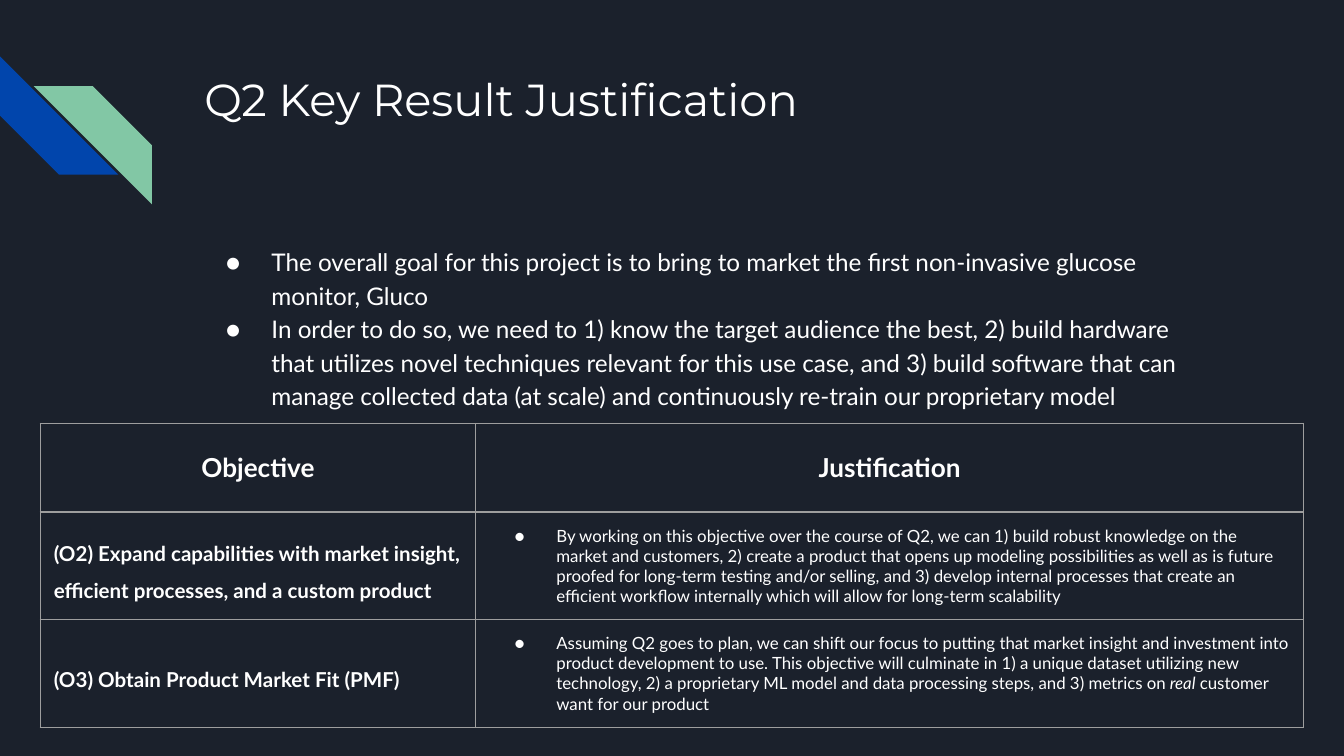
from lxml import etree
from pptx import Presentation
from pptx.dml.color import RGBColor
from pptx.enum import shapes, text
from pptx.oxml import ns
from pptx.util import Inches, Pt

THEME = {
    "background": "1B212C", "ink": "FFFFFF", "blue": "0145AC",
    "green": "82C7A5", "border": "9E9E9E", "border_width": 0.75,
    "title_font": "Montserrat", "body_font": "Lato",
    "title": 24, "body": 13, "header": 14, "objective": 11, "justification": 9,
}

TITLE = "Q2 Key Result Justification"
GOALS = [
    "The overall goal for this project is to bring to market the first "
    "non-invasive glucose monitor, Gluco",
    "In order to do so, we need to 1) know the target audience the best, "
    "2) build hardware that utilizes novel techniques relevant for this use "
    "case, and 3) build software that can manage collected data (at scale) "
    "and continuously re-train our proprietary model",
]
HEADERS = ["Objective", "Justification"]
# Each justification is a list of (text, italic) runs.
OBJECTIVES = [
    ("(O2) Expand capabilities with market insight, efficient processes, "
     "and a custom product",
     [("By working on this objective over the course of Q2, we can 1) build "
       "robust knowledge on the market and customers, 2) create a product that "
       "opens up modeling possibilities as well as is future proofed for "
       "long-term testing and/or selling, and 3) develop internal processes "
       "that create an efficient workflow internally which will allow for "
       "long-term scalability", False)]),
    ("(O3) Obtain Product Market Fit (PMF)",
     [("Assuming Q2 goes to plan, we can shift our focus to putting that market "
       "insight and investment into product development to use. This objective "
       "will culminate in 1) a unique dataset utilizing new technology, 2) a "
       "proprietary ML model and data processing steps, and 3) metrics on ", False),
      ("real", True),
      (" customer want for our product", False)]),
]

SLIDE_WIDTH = Inches(10)
SLIDE_HEIGHT = SLIDE_WIDTH * 9 // 16
COLUMN_WIDTHS = [3.24, 6.16]
ROW_HEIGHTS = [0.66, 0.8, 0.8]
TABLE_LEFT, TABLE_TOP = 0.3, 3.15
STRIPE_SIZE = 0.88
INSET = Inches(0.1)


def color(name):
    return RGBColor.from_string(THEME[name])


def add_run(paragraph, words, size, font="body_font", bold=False, italic=False):
    run = paragraph.add_run()
    run.text = words
    run.font.name = THEME[font]
    run.font.size = Pt(THEME[size])
    run.font.bold, run.font.italic = bold, italic
    run.font.color.rgb = color("ink")


def format_paragraph(paragraph, align=text.PP_ALIGN.LEFT, spacing=1.0):
    paragraph.alignment = align
    paragraph.line_spacing = spacing
    paragraph.space_before = paragraph.space_after = Pt(0)


def add_bullet(paragraph, hanging):
    properties = paragraph._p.get_or_add_pPr()
    properties.set("marL", str(Inches(0.5)))
    properties.set("indent", str(-Inches(hanging)))
    bullet_color = etree.SubElement(properties, ns.qn("a:buClr"))
    etree.SubElement(bullet_color, ns.qn("a:srgbClr"), val=THEME["ink"])
    etree.SubElement(properties, ns.qn("a:buFont"), typeface=THEME["body_font"])
    etree.SubElement(properties, ns.qn("a:buChar"), char="●")


def place(placeholder, left, top, width, height):
    placeholder.left, placeholder.top = Inches(left), Inches(top)
    placeholder.width, placeholder.height = Inches(width), Inches(height)
    frame = placeholder.text_frame
    frame.margin_left = frame.margin_right = INSET
    frame.margin_top = frame.margin_bottom = INSET
    frame.vertical_anchor = text.MSO_ANCHOR.TOP
    frame.auto_size = text.MSO_AUTO_SIZE.NONE
    frame.word_wrap = True
    return frame


def add_stripe(slide, left, top, fill):
    stripe = slide.shapes.add_shape(
        shapes.MSO_SHAPE.DIAGONAL_STRIPE, Inches(left), Inches(top),
        Inches(STRIPE_SIZE), Inches(STRIPE_SIZE))
    stripe.adjustments[0] = 0.5
    stripe.shadow.inherit = False
    stripe.fill.solid()
    stripe.fill.fore_color.rgb = color(fill)
    stripe.line.fill.background()
    return stripe


def format_cell(cell):
    """Give a cell its insets, no fill and thin borders on all sides."""
    cell.margin_left = cell.margin_right = INSET
    cell.margin_top = cell.margin_bottom = INSET
    cell.vertical_anchor = text.MSO_ANCHOR.MIDDLE
    cell.fill.background()
    properties = cell._tc.get_or_add_tcPr()
    for index, side in enumerate(("lnL", "lnR", "lnT", "lnB")):
        border = etree.Element(ns.qn(f"a:{side}"), w=str(Pt(THEME["border_width"])))
        fill = etree.SubElement(border, ns.qn("a:solidFill"))
        etree.SubElement(fill, ns.qn("a:srgbClr"), val=THEME["border"])
        properties.insert(index, border)


def add_objective_table(slide):
    table = slide.shapes.add_table(
        len(ROW_HEIGHTS), len(COLUMN_WIDTHS), Inches(TABLE_LEFT), Inches(TABLE_TOP),
        Inches(sum(COLUMN_WIDTHS)), Inches(sum(ROW_HEIGHTS))).table
    table.first_row = table.horz_banding = False
    for column, width in zip(table.columns, COLUMN_WIDTHS):
        column.width = Inches(width)
    for row, height in zip(table.rows, ROW_HEIGHTS):
        row.height = Inches(height)
    for cell in table.iter_cells():
        format_cell(cell)

    for column, header in enumerate(HEADERS):
        paragraph = table.cell(0, column).text_frame.paragraphs[0]
        format_paragraph(paragraph, text.PP_ALIGN.CENTER)
        add_run(paragraph, header, "header", bold=True)
    for row, (objective, justification) in enumerate(OBJECTIVES, start=1):
        paragraph = table.cell(row, 0).text_frame.paragraphs[0]
        format_paragraph(paragraph, spacing=1.5)
        add_run(paragraph, objective, "objective", bold=True)
        paragraph = table.cell(row, 1).text_frame.paragraphs[0]
        format_paragraph(paragraph)
        add_bullet(paragraph, 0.31)
        for words, italic in justification:
            add_run(paragraph, words, "justification", italic=italic)


def main():
    presentation = Presentation()
    presentation.slide_width = SLIDE_WIDTH
    presentation.slide_height = SLIDE_HEIGHT
    slide = presentation.slides.add_slide(presentation.slide_layouts[1])
    slide.background.fill.solid()
    slide.background.fill.fore_color.rgb = color("background")

    add_stripe(slide, 0, 0.42, "blue").rotation = 270
    green_stripe = add_stripe(slide, 0.25, 0.64, "green")
    green_stripe._element.spPr.xfrm.set("flipH", "1")

    title = place(slide.shapes.title, 1.42, 0.43, 7.7, 1).paragraphs[0]
    format_paragraph(title)
    add_run(title, TITLE, "title", font="title_font")

    body = place(slide.placeholders[1], 1.42, 1.71, 7.7, 3.18)
    for index, goal in enumerate(GOALS):
        paragraph = body.add_paragraph() if index else body.paragraphs[0]
        format_paragraph(paragraph, spacing=1.15)
        add_bullet(paragraph, 0.34)
        add_run(paragraph, goal, "body")

    add_objective_table(slide)
    presentation.save("out.pptx")


if __name__ == "__main__":
    main()
